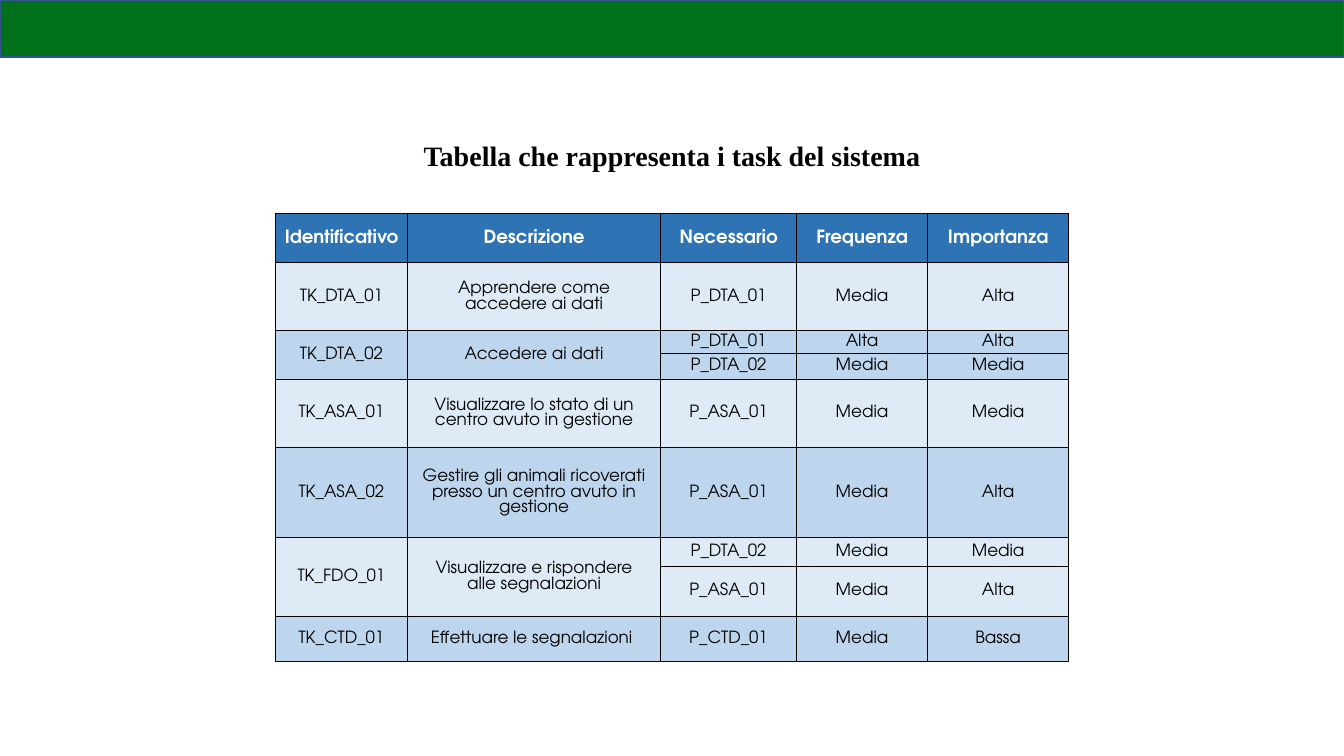
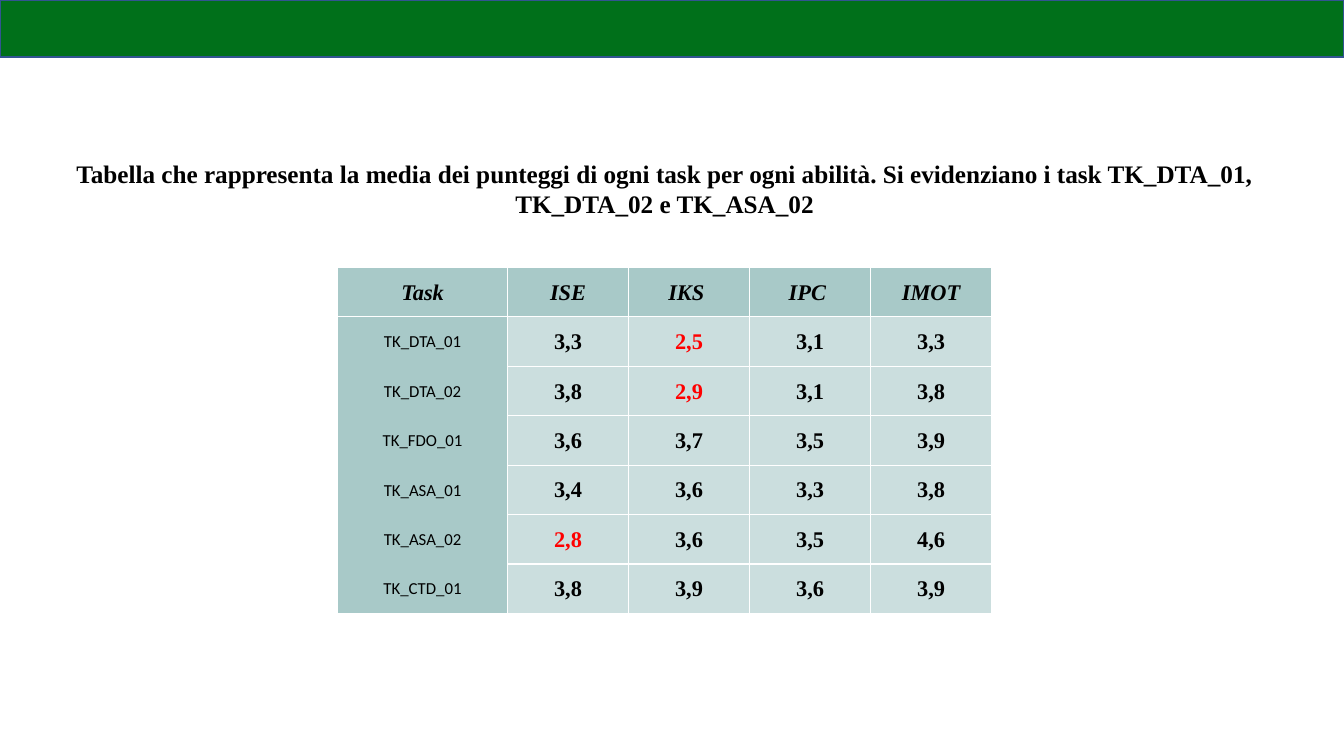
from dataclasses import dataclass

from lxml.etree import SubElement
from pptx import Presentation
from pptx.dml.color import RGBColor
from pptx.enum.shapes import MSO_SHAPE
from pptx.enum.text import MSO_ANCHOR, MSO_AUTO_SIZE, PP_ALIGN
from pptx.oxml import parse_xml
from pptx.oxml.ns import nsdecls, qn
from pptx.util import Cm, Pt


@dataclass(frozen=True)
class Theme:
    band: str = "00701A"
    band_line: str = "325491"
    black: str = "000000"
    white: str = "FFFFFF"
    highlight: str = "FF0000"
    task_header: str = "2E74B5"
    task_rows: tuple = ("DEEAF6", "BDD6EE")
    score_header: str = "A8C9C8"
    score_body: str = "CBDEDE"
    serif: str = "Times New Roman"
    geometric: str = "TeX Gyre Adventor"
    sans: str = "Calibri"
    title_size: int = 20
    long_title_size: int = 18
    score_size: int = 16
    header_size: float = 13
    body_size: int = 12
    line_width: int = 1


THEME = Theme()
SLIDE_WIDTH, SLIDE_HEIGHT = 33.87, 19.05
BAND_HEIGHT = 1.44

TASK_TITLE = "Tabella che rappresenta i task del sistema"
TASK_HEADERS = ("Identificativo", "Descrizione", "Necessario", "Frequenza", "Importanza")
TASK_WIDTHS = (3.33, 6.38, 3.42, 3.31, 3.55)
TASK_HEADER_HEIGHT = 1.24
# Identifier, description, then (height, required profile, frequency, importance) per row
TASKS = [
    ("TK_DTA_01", "Apprendere come accedere ai dati", [(1.71, "P_DTA_01", "Media", "Alta")]),
    ("TK_DTA_02", "Accedere ai dati", [
        (0.57, "P_DTA_01", "Alta", "Alta"),
        (0.66, "P_DTA_02", "Media", "Media"),
    ]),
    ("TK_ASA_01", "Visualizzare lo stato di un centro avuto in gestione",
     [(1.71, "P_ASA_01", "Media", "Media")]),
    ("TK_ASA_02", "Gestire gli animali ricoverati presso un centro avuto in gestione",
     [(2.28, "P_ASA_01", "Media", "Alta")]),
    ("TK_FDO_01", "Visualizzare e rispondere alle segnalazioni", [
        (0.72, "P_DTA_02", "Media", "Media"),
        (1.26, "P_ASA_01", "Media", "Alta"),
    ]),
    ("TK_CTD_01", "Effettuare le segnalazioni ", [(1.15, "P_CTD_01", "Media", "Bassa")]),
]

SCORE_TITLE = (
    "Tabella che rappresenta la media dei punteggi di ogni task per ogni abilità. "
    "Si evidenziano i task TK_DTA_01, TK_DTA_02 e TK_ASA_02"
)
SCORE_HEADERS = ("Task", "ISE", "IKS ", "IPC ", "IMOT")
SCORE_WIDTHS = (4.28, 3.05, 3.05, 3.05, 3.05)
SCORE_ROW_HEIGHT = 1.245
SCORES = [
    ("TK_DTA_01", "3,3", "2,5", "3,1", "3,3"),
    ("TK_DTA_02", "3,8", "2,9", "3,1", "3,8"),
    ("TK_FDO_01", "3,6", "3,7", "3,5", "3,9"),
    ("TK_ASA_01", "3,4", "3,6", "3,3", "3,8"),
    ("TK_ASA_02", "2,8", "3,6", "3,5", "4,6"),
    ("TK_CTD_01", "3,8", "3,9", "3,6", "3,9"),
]
LOW_SCORES = {"2,5", "2,8", "2,9"}

TASK_MARGINS = (0.19, 0, 0.19, 0)
MERGED_MARGINS = (0.29, 0.14, 0.29, 0.14)
SCORE_MARGINS = (0.03, 0.03, 0.03, 0)


def write_text(frame, text, *, font, size, color=THEME.black, bold=False, italic=False, spacing=0):
    paragraph = frame.paragraphs[0]
    paragraph.alignment = PP_ALIGN.CENTER
    if spacing:
        paragraph.space_before = paragraph.space_after = Pt(spacing)
    run = paragraph.add_run()
    run.text = text
    run.font.name = font
    run.font.size = Pt(size)
    run.font.bold = bold
    run.font.italic = italic
    run.font.color.rgb = RGBColor.from_string(color)


def set_borders(cell, color, sides):
    """Draw the named sides (L, R, T, B) and clear the others."""
    properties = cell._tc.get_or_add_tcPr()
    for position, side in enumerate("LRTB"):
        line = parse_xml(f'<a:ln{side} {nsdecls("a")} w="{Pt(THEME.line_width)}"/>')
        if side in sides:
            fill = SubElement(line, qn("a:solidFill"))
            SubElement(fill, qn("a:srgbClr"), val=color)
        else:
            SubElement(line, qn("a:noFill"))
        properties.insert(position, line)


def style_cell(cell, fill, margins, border, sides="LRTB"):
    cell.fill.solid()
    cell.fill.fore_color.rgb = RGBColor.from_string(fill)
    cell.vertical_anchor = MSO_ANCHOR.MIDDLE
    cell.margin_left, cell.margin_top, cell.margin_right, cell.margin_bottom = map(Cm, margins)
    set_borders(cell, border, sides)


def add_titled_slide(presentation, title, box, size):
    slide = presentation.slides.add_slide(presentation.slide_layouts[5])
    band = slide.shapes.add_shape(
        MSO_SHAPE.RECTANGLE, 0, 0, presentation.slide_width, Cm(BAND_HEIGHT))
    band.shadow.inherit = False
    band.fill.solid()
    band.fill.fore_color.rgb = RGBColor.from_string(THEME.band)
    band.line.color.rgb = RGBColor.from_string(THEME.band_line)
    band.line.width = Pt(THEME.line_width)

    heading = slide.shapes.title
    heading.left, heading.top, heading.width, heading.height = map(Cm, box)
    frame = heading.text_frame
    frame.word_wrap = True
    frame.auto_size = MSO_AUTO_SIZE.NONE
    frame.vertical_anchor = MSO_ANCHOR.TOP
    write_text(frame, title, font=THEME.serif, size=size, bold=True)
    return slide


def add_grid(slide, left, top, widths, heights):
    table = slide.shapes.add_table(
        len(heights), len(widths), Cm(left), Cm(top), Cm(sum(widths)), Cm(sum(heights))).table
    table.first_row = table.horz_banding = False
    for column, width in zip(table.columns, widths):
        column.width = Cm(width)
    for row, height in zip(table.rows, heights):
        row.height = Cm(height)
    return table


def build_task_slide(presentation):
    slide = add_titled_slide(presentation, TASK_TITLE, (10.24, 3.36, 13.4, 1.11), THEME.title_size)
    heights = [TASK_HEADER_HEIGHT] + [need[0] for task in TASKS for need in task[2]]
    table = add_grid(slide, 6.94, 5.38, TASK_WIDTHS, heights)
    for column, text in enumerate(TASK_HEADERS):
        cell = table.cell(0, column)
        style_cell(cell, THEME.task_header, TASK_MARGINS, THEME.black)
        write_text(cell.text_frame, text, font=THEME.geometric, size=THEME.header_size,
                   color=THEME.white, bold=True)

    first_row = 1
    for index, (identifier, description, needs) in enumerate(TASKS):
        last_row = first_row + len(needs) - 1
        for row, (_, *details) in enumerate(needs, first_row):
            for column, text in enumerate((identifier, description, *details)):
                cell = table.cell(row, column)
                merged = column < 2 and len(needs) > 1
                style_cell(cell, THEME.task_rows[index % 2],
                           MERGED_MARGINS if merged else TASK_MARGINS, THEME.black)
                if column >= 2 or row == first_row:
                    write_text(cell.text_frame, text, font=THEME.geometric,
                               size=THEME.body_size, spacing=3)
        if last_row > first_row:
            for column in range(2):
                table.cell(first_row, column).merge(table.cell(last_row, column))
        first_row = last_row + 1


def build_score_slide(presentation):
    slide = add_titled_slide(
        presentation, SCORE_TITLE, (1.6, 3.86, 30.3, 1.8), THEME.long_title_size)
    rows = [SCORE_HEADERS, *SCORES]
    table = add_grid(slide, 8.51, 6.74, SCORE_WIDTHS, [SCORE_ROW_HEIGHT] * len(rows))
    for row, values in enumerate(rows):
        for column, text in enumerate(values):
            cell = table.cell(row, column)
            header, label = row == 0, row > 0 and column == 0
            sides = "LRTB"
            if label:
                sides = "TR" if row == 1 else "R"
            style_cell(cell, THEME.score_header if header or label else THEME.score_body,
                       SCORE_MARGINS, THEME.white, sides)
            write_text(cell.text_frame, text,
                       font=THEME.sans if label else THEME.serif,
                       size=THEME.body_size if label else THEME.score_size,
                       color=THEME.highlight if text in LOW_SCORES else THEME.black,
                       bold=not label, italic=header)


def main():
    presentation = Presentation()
    presentation.slide_width, presentation.slide_height = Cm(SLIDE_WIDTH), Cm(SLIDE_HEIGHT)
    build_task_slide(presentation)
    build_score_slide(presentation)
    presentation.save("out.pptx")


if __name__ == "__main__":
    main()
